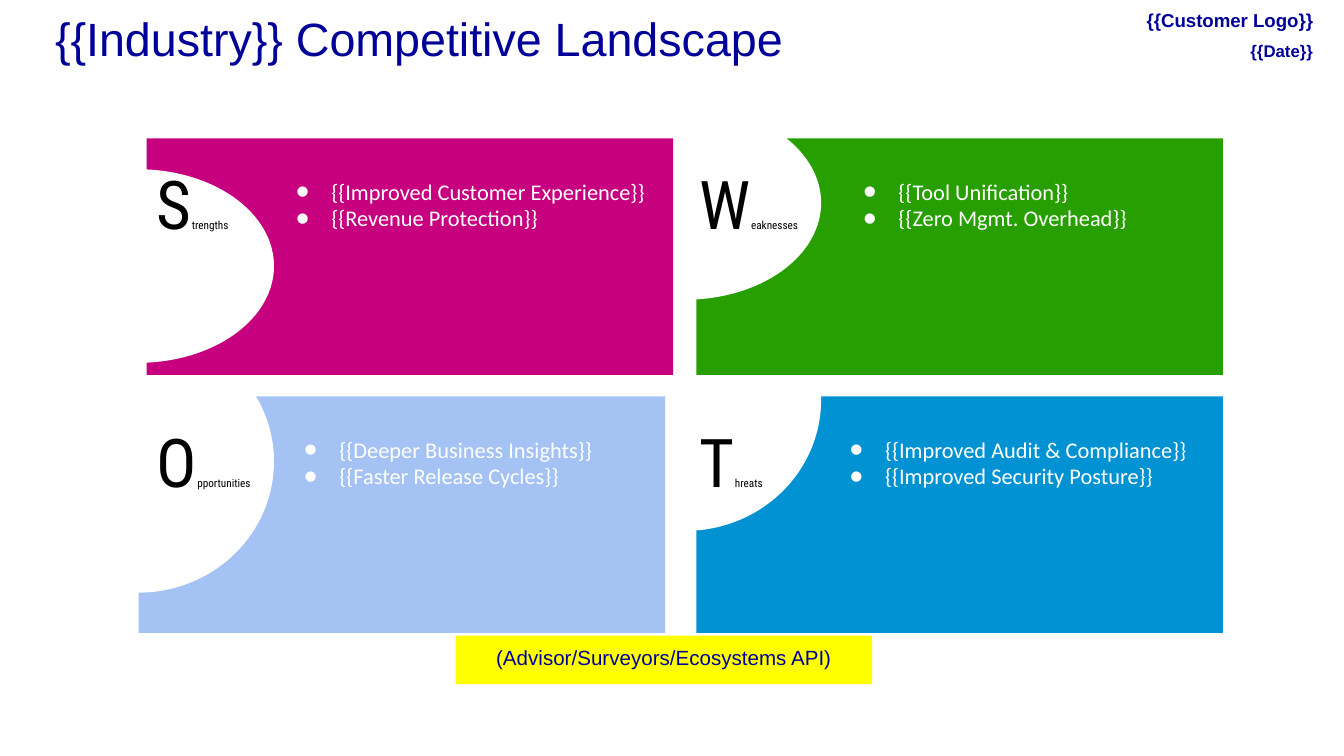
from lxml import etree
from pptx import Presentation
from pptx.dml.color import RGBColor
from pptx.enum import shapes, text
from pptx.oxml.ns import qn
from pptx.util import Pt

NAVY, WHITE, BLACK, YELLOW = "000099", "FFFFFF", "000000", "FFFF00"
PANEL_WIDTH, PANEL_HEIGHT = 282.2, 126.7
CUTOUT_WIDTH = 145.4


def colour(hex_code):
    """Turn a hex string into a colour."""
    return RGBColor.from_string(hex_code)


def add_block(slide, preset, box, fill):
    """Add a plain filled shape without line or shadow."""
    block = slide.shapes.add_shape(preset, *map(Pt, box))
    block.shadow.inherit = False
    block.fill.solid()
    block.fill.fore_color.rgb = colour(fill)
    block.line.fill.background()
    return block


def set_frame(holder, insets, anchor=text.MSO_ANCHOR.TOP):
    """Set insets (left, top, right, bottom), wrapping and anchor."""
    frame = holder.text_frame
    frame.word_wrap = True
    frame.auto_size = text.MSO_AUTO_SIZE.NONE
    frame.vertical_anchor = anchor
    frame.margin_left, frame.margin_top, frame.margin_right, frame.margin_bottom = map(Pt, insets)
    return frame


def place(holder, box):
    """Move a placeholder into a box."""
    holder.left, holder.top, holder.width, holder.height = map(Pt, box)


def add_run(paragraph, words, size, font, fill, bold=False):
    """Add one formatted run."""
    run = paragraph.add_run()
    run.text = words
    run.font.size = Pt(size)
    run.font.name = font
    run.font.bold = bold
    run.font.color.rgb = colour(fill)


def add_line(frame, words, size, align, bold=False):
    """Write a single navy line with tight spacing."""
    line = frame.paragraphs[0]
    line.alignment = align
    line.line_spacing = 0.85
    add_run(line, words, size, "Arial", NAVY, bold)


def add_bullet(paragraph):
    """Give a paragraph a white round bullet with a hanging indent."""
    properties = paragraph._p.get_or_add_pPr()
    properties.set("marL", str(Pt(27)))
    properties.set("indent", str(Pt(-19)))
    bullet_colour = etree.SubElement(properties, qn("a:buClr"))
    etree.SubElement(bullet_colour, qn("a:srgbClr"), val=WHITE)
    etree.SubElement(properties, qn("a:buFont"), typeface="Calibri")
    etree.SubElement(properties, qn("a:buChar"), char="●")


def fill_points(slide, holder, box, points):
    """Place a body placeholder on top and fill it with bullets."""
    place(holder, box)
    slide.shapes._spTree.append(holder._element)
    frame = set_frame(holder, (7.2, 21, 7.2, 7.2))
    for index, words in enumerate(points):
        point = frame.add_paragraph() if index else frame.paragraphs[0]
        add_bullet(point)
        point.space_before = Pt(0)
        point.line_spacing = 1.0
        point.alignment = text.PP_ALIGN.LEFT
        add_run(point, words, 12, "Calibri", WHITE)


def add_panel(slide, holder, corner, fill, cutout, label_offset, list_area, heading, points):
    """Draw one quadrant: panel, rounded cutout, heading and list."""
    left, top = corner
    cutout_left, cutout_top, cutout_height = cutout
    list_left, list_width = list_area
    add_block(slide, shapes.MSO_SHAPE.RECTANGLE, (left, top, PANEL_WIDTH, PANEL_HEIGHT), fill)
    add_block(slide, shapes.MSO_SHAPE.OVAL,
              (left + cutout_left, top + cutout_top, CUTOUT_WIDTH, cutout_height), WHITE)
    label = slide.shapes.add_textbox(Pt(left + label_offset), Pt(top + 5.4), Pt(72), Pt(53.3))
    initial = set_frame(label, (7.2,) * 4).paragraphs[0]
    add_run(initial, heading[0], 36, "Roboto Condensed", BLACK)
    add_run(initial, heading[1:], 6, "Roboto Condensed", BLACK)
    fill_points(slide, holder, (left + list_left, top, list_width, PANEL_HEIGHT), points)


def add_swot(slide, holders):
    """Draw the four quadrants from back to front."""
    left, right, upper, lower = 74.2, 373, 74.2, 212.4
    quadrants = [
        ((right, lower), "0092D2", (-78.5, -68.4, 140.4), -5.1, (66.9, 216.7), "Threats",
         ["{{Improved Audit & Compliance}}", "{{Improved Security Posture}}"]),
        ((left, lower), "A4C2F4", (-72.8, -35.3, 140.4), 2.8, (73.4, 209.5), "Opportunities",
         ["{{Deeper Business Insights}}", "{{Faster Release Cycles}}"]),
        ((right, upper), "279F00", (-78.5, -17.3, 103.7), -5.1, (74.1, 206.6), "Weaknesses",
         ["{{Tool Unification}}", "{{Zero Mgmt. Overhead}}"]),
        ((left + 4.3, upper), "C6007E", (-77.1, 16.5, 103.7), -1.5, (64.8, 216.7), "Strengths",
         ["{{Improved Customer Experience}}", "{{Revenue Protection}}"]),
    ]
    for holder, quadrant in zip(holders, quadrants):
        add_panel(slide, holder, *quadrant)


def add_title(slide, box):
    """Fill the title placeholder."""
    title = slide.shapes.title
    place(title, box)
    frame = set_frame(title, (5, 2.9, 5, 2.9))
    add_line(frame, "{{Industry}} Competitive Landscape", 25, text.PP_ALIGN.LEFT)


def add_source_banner(slide, box):
    """Add the highlighted data source note."""
    banner = add_block(slide, shapes.MSO_SHAPE.RECTANGLE, box, YELLOW)
    frame = set_frame(banner, (7.2,) * 4)
    add_line(frame, "(Advisor/Surveyors/Ecosystems API)", 11, text.PP_ALIGN.CENTER)


def add_corner_field(slide, box, words, size):
    """Add a right-aligned field in the top corner."""
    field = slide.shapes.add_textbox(*map(Pt, box))
    frame = set_frame(field, (2.9, 1.4, 2.9, 1.4), text.MSO_ANCHOR.MIDDLE)
    add_line(frame, words, size, text.PP_ALIGN.RIGHT, True)


def main():
    """Build and save the slide."""
    deck = Presentation()
    deck.slide_width, deck.slide_height = Pt(720), Pt(405)
    slide = deck.slides.add_slide(deck.slide_layouts[4])
    bodies = [holder for holder in slide.placeholders if holder.placeholder_format.idx in range(1, 5)]
    add_swot(slide, bodies)
    add_title(slide, (24.5, 7.2, 661.7, 37.4))
    add_source_banner(slide, (244.1, 340.6, 223.2, 25.9))
    add_corner_field(slide, (588.2, 2.2, 118.1, 18.7), "{{Customer Logo}}", 10)
    add_corner_field(slide, (611.3, 18.7, 95, 18.7), "{{Date}}", 9)
    deck.save("out.pptx")


if __name__ == "__main__":
    main()
